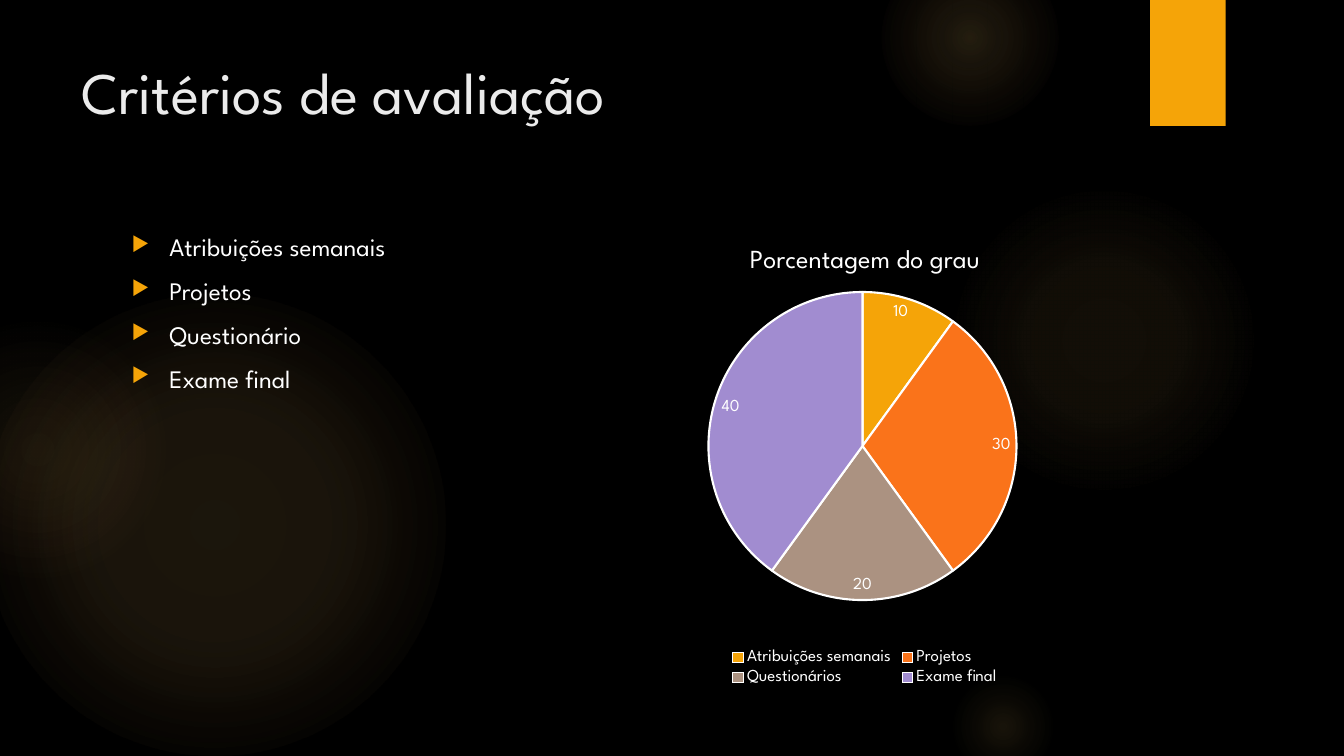
from pptx import Presentation
from pptx.chart.data import CategoryChartData
from pptx.dml.color import RGBColor
from pptx.enum.chart import XL_CHART_TYPE, XL_LABEL_POSITION, XL_LEGEND_POSITION
from pptx.enum.shapes import MSO_SHAPE
from pptx.enum.text import MSO_ANCHOR
from pptx.oxml import parse_xml
from pptx.oxml.ns import nsdecls
from pptx.util import Pt

FONT = "League Spartan"
WHITE, AMBER, GLOW, ROSE = "FFFFFF", "F5A408", "FAC96A", "F59B74"
CRITERIA = ["Atribuições semanais", "Projetos", "Questionário", "Exame final"]
GRADES = [  # category, share, slice colour
    ("Atribuições semanais", 10, AMBER),
    ("Projetos", 30, "FA731A"),
    ("Questionários", 20, "AB9281"),
    ("Exame final", 40, "A18CD0"),
]
GLOWS = [  # left, top, diameter, stops of (position %, colour, opacity %)
    (-12, 210, 330, [(0, GLOW, 11), (36, GLOW, 10), (75, GLOW, 0)]),
    (-66, 228, 186, [(0, GLOW, 8), (36, GLOW, 5), (71, ROSE, 0)]),
    (677.5, 132, 222, [(0, GLOW, 7), (36, GLOW, 6), (69, GLOW, 0)]),
    (630, -36, 126, [(0, GLOW, 14), (36, GLOW, 7), (73, GLOW, 0)]),
    (677.5, 480, 78, [(0, GLOW, 10), (31, GLOW, 5), (66, GLOW, 0)]),
]


def color(hex_string):
    return RGBColor.from_string(hex_string)


def set_font(font, size, hex_string=WHITE):
    font.name, font.size, font.bold = FONT, Pt(size), False
    font.color.rgb = color(hex_string)


def add_plain_shape(page, kind, left, top, width, height):
    shape = page.shapes.add_shape(kind, Pt(left), Pt(top), Pt(width), Pt(height))
    shape.shadow.inherit = False
    shape.line.fill.background()
    return shape


def add_glow(page, left, top, diameter, stops):
    shape = add_plain_shape(page, MSO_SHAPE.OVAL, left, top, diameter, diameter)
    stop_xml = "".join(
        f'<a:gs pos="{position * 1000}"><a:srgbClr val="{hex_string}">'
        f'<a:alpha val="{opacity * 1000}"/></a:srgbClr></a:gs>'
        for position, hex_string, opacity in stops)
    gradient = parse_xml(
        f'<a:gradFill {nsdecls("a")}><a:gsLst>{stop_xml}</a:gsLst><a:path path="circle">'
        '<a:fillToRect l="50000" t="50000" r="50000" b="50000"/></a:path></a:gradFill>')
    shape._element.spPr.prstGeom.addnext(gradient)


def add_background(page):
    page.background.fill.solid()
    page.background.fill.fore_color.rgb = color("000000")
    for glow in GLOWS:
        add_glow(page, *glow)
    tab = add_plain_shape(page, MSO_SHAPE.RECTANGLE, 821.5, 0, 54, 90)
    tab.fill.solid()
    tab.fill.fore_color.rgb = color(AMBER)


def add_text_frame(page, left, top, width, height):
    box = page.shapes.add_textbox(Pt(left), Pt(top), Pt(width), Pt(height))
    box.text_frame.word_wrap = True
    box.text_frame.vertical_anchor = MSO_ANCHOR.TOP
    return box.text_frame


def add_title(page, left, top, width, height):
    para = add_text_frame(page, left, top, width, height).paragraphs[0]
    para.text = "Critérios de avaliação"
    set_font(para.font, 42, "EBEBEB")


def add_bullet(para):
    properties = para._p.get_or_add_pPr()
    properties.set("marL", str(Pt(27)))
    properties.set("indent", str(Pt(-27)))
    for bullet_part in (f'buClr {nsdecls("a")}><a:srgbClr val="{AMBER}"/></a:buClr>',
                        f'buSzPct {nsdecls("a")} val="80000"/>',
                        f'buChar {nsdecls("a")} char="▶"/>'):
        properties.append(parse_xml("<a:" + bullet_part))


def add_criteria(page, left, top, width, height):
    frame = add_text_frame(page, left, top, width, height)
    for index, criterion in enumerate(CRITERIA):
        para = frame.paragraphs[0] if index == 0 else frame.add_paragraph()
        para.text = criterion
        para.space_before, para.space_after = Pt(3.6), Pt(6)
        add_bullet(para)
        set_font(para.font, 18)


def add_grade_chart(page, left, top, width, height):
    data = CategoryChartData()
    data.categories = [name for name, _, _ in GRADES]
    data.add_series("Porcentagem do grau", [share for _, share, _ in GRADES])
    chart = page.shapes.add_chart(XL_CHART_TYPE.PIE, Pt(left), Pt(top),
                                  Pt(width), Pt(height), data).chart
    set_font(chart.font, 10)

    # Title and legend
    chart.has_title = True
    heading = chart.chart_title.text_frame.paragraphs[0]
    heading.text = "Porcentagem do grau"
    set_font(heading.font, 18.6)
    chart.has_legend = True
    chart.legend.position = XL_LEGEND_POSITION.BOTTOM
    chart.legend.include_in_layout = False
    set_font(chart.legend.font, 12)

    # Slices and their values
    plot = chart.plots[0]
    plot.vary_by_categories = True
    for index, (_, _, hex_string) in enumerate(GRADES):
        piece = plot.series[0].points[index].format
        piece.fill.solid()
        piece.fill.fore_color.rgb = color(hex_string)
        piece.line.color.rgb = color(WHITE)
        piece.line.width = Pt(1.5)
    labels = plot.series[0].data_labels
    labels.show_value = True
    labels.position = XL_LABEL_POSITION.INSIDE_END
    set_font(labels.font, 12)

    # Place of the pie within the chart
    area = chart._chartSpace.chart.plotArea
    for old_layout in area.findall("{*}layout"):
        area.remove(old_layout)
    places = "".join(f'<c:{name} val="{value}"/>' for name, value in (
        ("layoutTarget", "inner"), ("xMode", "edge"), ("yMode", "edge"),
        ("x", 0.176), ("y", 0.141), ("w", 0.637), ("h", 0.666)))
    area.insert(0, parse_xml(f'<c:layout {nsdecls("c")}><c:manualLayout>{places}'
                             '</c:manualLayout></c:layout>'))


def main():
    deck = Presentation()
    deck.slide_width, deck.slide_height = Pt(960), Pt(540)
    page = deck.slides.add_slide(deck.slide_layouts[6])
    add_background(page)
    add_title(page, 51, 36, 741, 110)
    add_criteria(page, 87, 162, 346, 330.5)
    add_grade_chart(page, 445, 162, 346, 330.5)
    deck.save("out.pptx")


if __name__ == "__main__":
    main()
